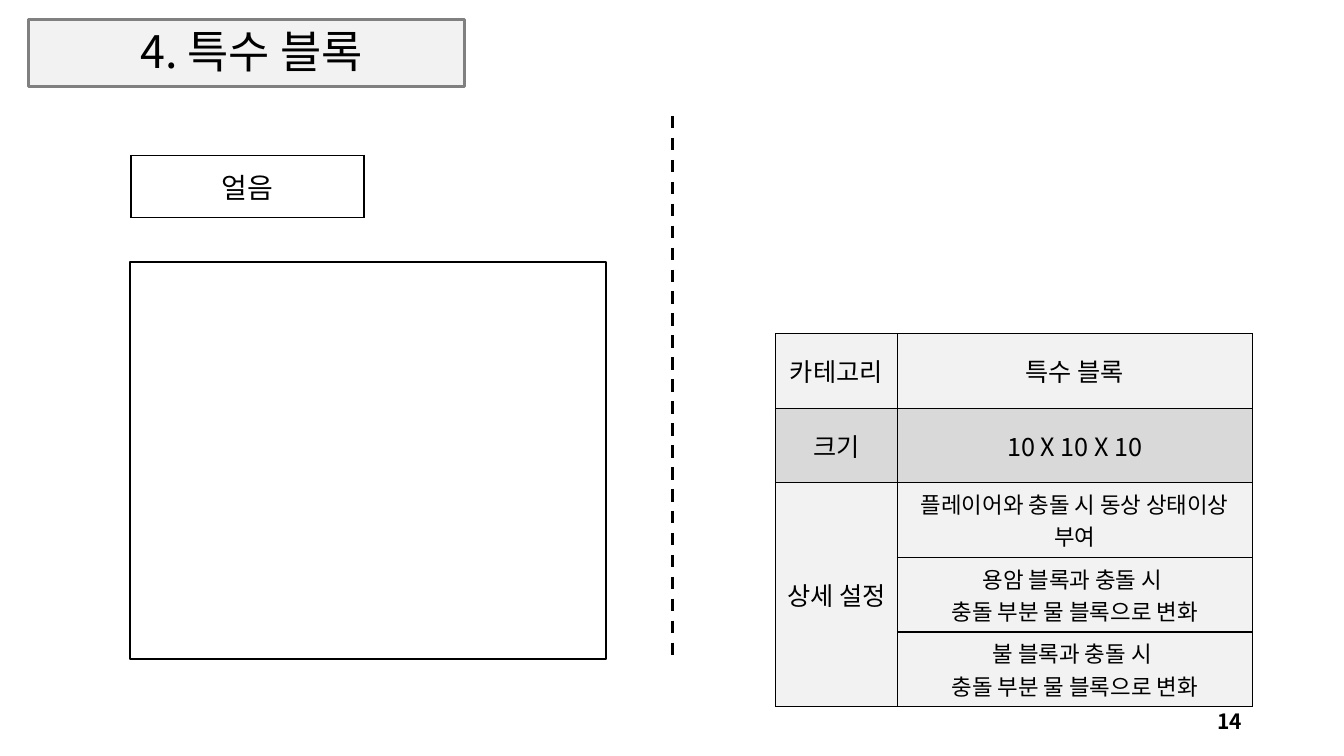
from pptx import Presentation
from pptx.dml.color import RGBColor
from pptx.enum.dml import MSO_LINE
from pptx.enum.shapes import MSO_CONNECTOR, MSO_SHAPE
from pptx.enum.text import MSO_ANCHOR, PP_ALIGN
from pptx.oxml.ns import qn
from pptx.oxml.xmlchemy import OxmlElement
from pptx.util import Inches, Pt

FONT = "Noto Sans CJK KR"
BLACK = RGBColor(0x00, 0x00, 0x00)
WHITE = RGBColor(0xFF, 0xFF, 0xFF)
LIGHT_GRAY = RGBColor(0xF2, 0xF2, 0xF2)
MID_GRAY = RGBColor(0xD9, 0xD9, 0xD9)
FRAME_GRAY = RGBColor(0x80, 0x80, 0x80)

ROW_HEIGHT = 0.74
BLOCK_ROWS = [
    ("카테고리", "특수 블록", 18, LIGHT_GRAY),
    ("크기", "10 X 10 X 10", 18, MID_GRAY),
    ("상세 설정", "플레이어와 충돌 시 동상 상태이상 부여", 16, LIGHT_GRAY),
    ("", "용암 블록과 충돌 시 \n충돌 부분 물 블록으로 변화", 16, LIGHT_GRAY),
    ("", "불 블록과 충돌 시 \n충돌 부분 물 블록으로 변화", 16, LIGHT_GRAY),
]


def write_text(text_frame, text, size, alignment=PP_ALIGN.CENTER, bold=False):
    text_frame.text = text
    for paragraph in text_frame.paragraphs:
        paragraph.alignment = alignment
        font = paragraph.font
        font.name = FONT
        font.size = Pt(size)
        font.bold = bold
        font.color.rgb = BLACK
        # Hangul takes its typeface from the East Asian font
        east_asian = OxmlElement("a:ea")
        east_asian.set("typeface", FONT)
        properties = paragraph._p.get_or_add_pPr().find(qn("a:defRPr"))
        properties.find(qn("a:latin")).addnext(east_asian)


def add_title(slide, text):
    title = slide.shapes.title
    title.left, title.top = Inches(0.42), Inches(0.18)
    title.width, title.height = Inches(4.15), Inches(0.65)
    title.text_frame.vertical_anchor = MSO_ANCHOR.BOTTOM
    write_text(title.text_frame, text, 32)
    title.text_frame.paragraphs[0].line_spacing = 0.9


def add_rectangle(slide, left, top, width, height, line_color, line_width, fill=None):
    rectangle = slide.shapes.add_shape(
        MSO_SHAPE.RECTANGLE, Inches(left), Inches(top), Inches(width), Inches(height))
    rectangle.shadow.inherit = False
    if fill is None:
        rectangle.fill.background()
    else:
        rectangle.fill.solid()
        rectangle.fill.fore_color.rgb = fill
    rectangle.line.color.rgb = line_color
    rectangle.line.width = Pt(line_width)
    return rectangle


def add_divider(slide, x, top, bottom):
    divider = slide.shapes.add_connector(
        MSO_CONNECTOR.STRAIGHT, Inches(x), Inches(top), Inches(x), Inches(bottom))
    divider.line.color.rgb = BLACK
    divider.line.width = Pt(2.25)
    divider.line.dash_style = MSO_LINE.DASH
    divider._element.spPr.append(OxmlElement("a:effectLst"))


def add_page_number(slide, number):
    box = slide.shapes.add_textbox(Inches(9.42), Inches(6.95), Inches(3), Inches(0.4))
    box.text_frame.word_wrap = True
    box.text_frame.vertical_anchor = MSO_ANCHOR.MIDDLE
    write_text(box.text_frame, number, 15, PP_ALIGN.RIGHT, bold=True)


def add_cell_borders(cell):
    properties = cell._tc.get_or_add_tcPr()
    for side in ("a:lnL", "a:lnR", "a:lnT", "a:lnB"):
        line = OxmlElement(side)
        line.set("w", str(Pt(1)))
        fill = OxmlElement("a:solidFill")
        color = OxmlElement("a:srgbClr")
        color.set("val", str(BLACK))
        fill.append(color)
        line.append(fill)
        properties.append(line)


def format_cell(cell, text, size, fill):
    add_cell_borders(cell)
    cell.fill.solid()
    cell.fill.fore_color.rgb = fill
    cell.vertical_anchor = MSO_ANCHOR.MIDDLE
    write_text(cell.text_frame, text, size)


def add_grid(slide, left, top, column_widths, row_height, row_count):
    """Add an empty table with equal rows and return it."""
    table = slide.shapes.add_table(
        row_count, len(column_widths), Inches(left), Inches(top),
        Inches(sum(column_widths)), Inches(row_height * row_count)).table
    table.first_row = table.horz_banding = False
    for column, width in zip(table.columns, column_widths):
        column.width = Inches(width)
    return table


def add_block_table(slide):
    table = add_grid(slide, 7.69, 3.31, [1.21, 3.52], ROW_HEIGHT, len(BLOCK_ROWS))
    for row, (label, value, value_size, fill) in enumerate(BLOCK_ROWS):
        format_cell(table.cell(row, 0), label, 18, fill)
        format_cell(table.cell(row, 1), value, value_size, fill)
    table.cell(2, 0).merge(table.cell(4, 0))


def main():
    presentation = Presentation()
    presentation.slide_width = Inches(13.33)
    presentation.slide_height = Inches(7.5)
    slide = presentation.slides.add_slide(presentation.slide_layouts[5])

    title_frame = add_rectangle(slide, 0.28, 0.19, 4.33, 0.67, FRAME_GRAY, 2.25, LIGHT_GRAY)
    slide.shapes.title._element.addprevious(title_frame._element)
    add_title(slide, "4. 특수 블록")
    add_page_number(slide, "14")
    add_divider(slide, 6.67, 1.15, 6.54)

    name_table = add_grid(slide, 1.3, 1.54, [2.31], 0.62, 1)
    format_cell(name_table.cell(0, 0), "얼음", 20, WHITE)
    add_block_table(slide)
    add_rectangle(slide, 1.29, 2.6, 4.72, 3.94, BLACK, 1.5)

    presentation.save("out.pptx")


if __name__ == "__main__":
    main()
